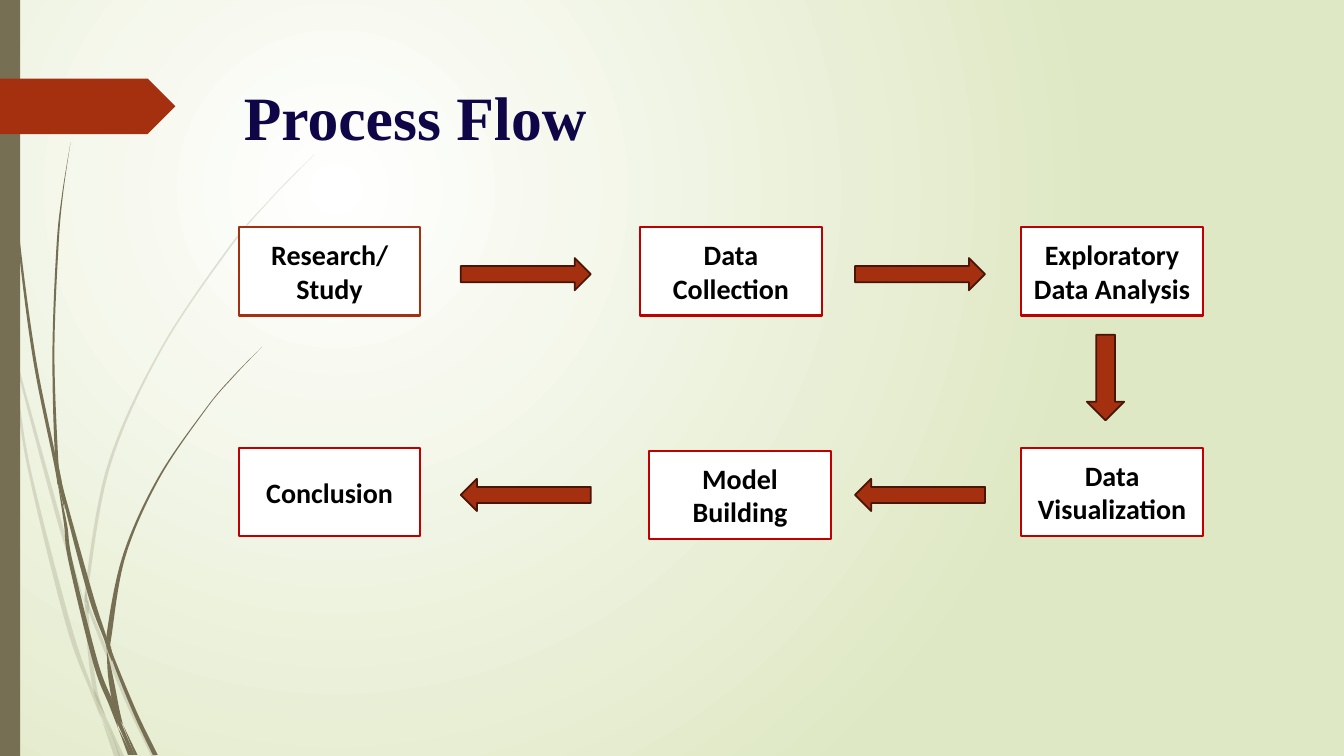
from lxml.etree import SubElement
from pptx import Presentation
from pptx.dml.color import RGBColor
from pptx.enum.shapes import MSO_SHAPE
from pptx.enum.text import MSO_ANCHOR, PP_ALIGN
from pptx.oxml.ns import qn
from pptx.util import Inches, Pt

WHITE = RGBColor(0xFF, 0xFF, 0xFF)
BLACK = RGBColor(0x00, 0x00, 0x00)
PALE_GREEN = RGBColor(0xDF, 0xE8, 0xC4)
OLIVE = RGBColor(0x76, 0x6F, 0x54)
RUST = RGBColor(0xA5, 0x30, 0x10)
DARK_RUST = RGBColor(0x48, 0x15, 0x07)
RED = RGBColor(0xC0, 0x00, 0x00)
NAVY = RGBColor(0x0E, 0x06, 0x46)

SLIDE_WIDTH, SLIDE_HEIGHT = 13.33, 7.5
COLUMNS = (2.37, 6.35, 10.13)
ROWS = (2.25, 4.44)
BOX_WIDTH, BOX_HEIGHT = 1.8, 0.88
ARROW_COLUMNS = (4.57, 8.48)
ARROW_LENGTH, ARROW_THICKNESS = 1.29, 0.32
ARROW_DROP = 0.31

STEPS = (
    ("Research/\nStudy", 0, 0, 0, 0, RUST),
    ("Model Building", 1, 1, 0.09, 0.03, RED),
    ("Conclusion", 0, 1, 0, 0, RED),
    ("Data Visualization", 2, 1, 0, 0, RED),
    ("Exploratory Data Analysis", 2, 0, 0, 0, RED),
    ("Data Collection", 1, 0, 0, 0, RED),
)

LIGHT_BLADES = (
    ((0.01, 2.82, 0.02), (0.09, 3.33, 0.02), (0.11, 3.5, 0)),
    ((0.14, 3.45, 0), (0.17, 3.62, 0.02), (0.6, 5.21, 0.04), (0.84, 5.99, 0)),
    ((0.88, 5.96, 0), (0.9, 6.08, 0.03), (1.25, 6.93, 0.04), (1.53, 7.51, 0.05)),
    ((1.05, 7.11, 0), (1.21, 7.51, 0.05)),
    ((0.11, 3.5, 0), (0.17, 3.9, 0.02), (0.3, 4.7, 0.03), (0.68, 6.2, 0.05),
     (0.92, 6.88, 0.03), (1.01, 7.14, 0)),
    ((0.84, 5.99, 0), (0.86, 6.08, 0.03), (0.89, 6.46, 0.04), (0.95, 6.87, 0.04),
     (1.05, 7.11, 0)),
    ((3.12, 1.53, 0), (2.9, 1.75, 0.01), (2.68, 1.98, 0.01), (2.28, 2.45, 0.02),
     (1.59, 3.48, 0.02), (1.08, 4.62, 0.03), (0.86, 5.84, 0.03), (0.88, 5.96, 0)),
    ((1.01, 7.14, 0), (1.16, 7.51, 0.05)),
    ((0.85, 5.86, 0), (0.86, 5.98, 0.04), (0.88, 6.1, 0)),
    ((0.93, 6.83, 0), (0.97, 6.95, 0.03), (1.03, 7.12, 0.04), (1.19, 7.51, 0.01)),
)
DARK_BLADES = (
    ((0.04, 0, 0.01), (0.05, 0.48, 0.01), (0.07, 1.1, 0.01), (0.18, 2.33, 0.02),
     (0.34, 3.55, 0.03), (0.55, 4.6, 0.03), (0.57, 4.81, 0)),
    ((0.6, 4.72, 0), (0.64, 4.95, 0.03), (0.9, 5.91, 0.05), (1.05, 6.35, 0.03),
     (1.06, 6.45, 0)),
    ((1.1, 6.41, 0), (1.12, 6.53, 0.03), (1.34, 7.07, 0.04), (1.54, 7.49, 0.05)),
    ((0.57, 4.77, 0), (0.65, 5.2, 0.03), (0.7, 5.57, 0.04), (0.95, 6.58, 0.05),
     (1.11, 7, 0.05), (1.17, 7.22, 0)),
    ((0.7, 1.41, 0), (0.62, 1.93, 0.01), (0.57, 2.45, 0.02), (0.53, 3.49, 0.02),
     (0.56, 4.51, 0.03), (0.6, 4.72, 0)),
    ((1.22, 7.19, 0), (1.35, 7.49, 0.03)),
    ((0.55, 4.49, 0), (0.59, 4.77, 0.04), (0.64, 5.05, 0)),
    ((2.6, 3.44, 0), (2.31, 3.74, 0.01), (2.04, 4.06, 0.01), (1.57, 4.75, 0.02),
     (1.23, 5.52, 0.03), (1.08, 6.32, 0.05), (1.1, 6.41, 0)),
    ((1.17, 7.22, 0), (1.29, 7.49, 0.04)),
    ((1.06, 6.45, 0), (1.1, 6.73, 0.05), (1.16, 7.04, 0.05), (1.22, 7.19, 0)),
    ((1.06, 6.31, 0), (1.08, 6.43, 0.04), (1.11, 6.56, 0)),
    ((1.1, 6.91, 0), (1.15, 7.09, 0.04), (1.32, 7.49, 0.03)),
)


def paint_background(slide):
    """Fill the background with a radial gradient."""
    fill = slide.background.fill
    fill.gradient()
    for stop, position, color in zip(fill.gradient_stops, (0, 1), (WHITE, PALE_GREEN)):
        stop.position = position
        stop.color.rgb = color
    gradient = slide.element.find(".//" + qn("a:gradFill"))
    gradient.remove(gradient.find(qn("a:lin")))
    circle = SubElement(gradient, qn("a:path"), path="circle")
    SubElement(circle, qn("a:fillToRect"), l="50000", t="50000", r="100000", b="100000")


def style_shape(shape, fill_color, line_color=None, line_width=0):
    """Give a shape a flat fill, an optional outline and no shadow."""
    shape.shadow.inherit = False
    shape.fill.solid()
    shape.fill.fore_color.rgb = fill_color
    if line_color is None:
        shape.line.fill.background()
    else:
        shape.line.color.rgb = line_color
        shape.line.width = Pt(line_width)


def add_preset(slide, preset, left, top, width, height, *style):
    """Add a styled preset shape measured in inches."""
    shape = slide.shapes.add_shape(
        preset, Inches(left), Inches(top), Inches(width), Inches(height))
    style_shape(shape, *style)
    return shape


def curve_edges(blade, knot_count):
    """Turn the straight sides of a blade into smooth Bézier curves."""
    vertices = [(int(point.get("x")), int(point.get("y")))
                for point in blade.element.iter(qn("a:pt"))]
    segments = list(blade.element.iter(qn("a:lnTo")))
    for edge_start in (0, knot_count):
        edge = vertices[edge_start:edge_start + knot_count]
        padded = [edge[0], *edge, edge[-1]]
        runs = zip(padded, padded[1:], padded[2:], padded[3:])
        for segment, (before, start, end, after) in zip(segments[edge_start:], runs):
            segment.tag = qn("a:cubicBezTo")
            controls = (
                [s + (e - b) / 6 for b, s, e in zip(before, start, end)],
                [e - (a - s) / 6 for s, e, a in zip(start, end, after)])
            for index, (x, y) in enumerate(controls):
                point = SubElement(segment, qn("a:pt"), x=str(round(x)), y=str(round(y)))
                segment.insert(index, point)


def add_blade(group, knots, opacity):
    """Draw one tapered piece of grass from knots of centre x, y and width."""
    left_edge = [(Inches(x - width / 2), Inches(y)) for x, y, width in knots]
    right_edge = [(Inches(x + width / 2), Inches(y)) for x, y, width in knots]
    builder = group.shapes.build_freeform(*left_edge[0])
    builder.add_line_segments(left_edge[1:] + right_edge[::-1], close=True)
    blade = builder.convert_to_shape()
    curve_edges(blade, len(knots))
    style_shape(blade, OLIVE)
    if opacity < 100:
        color = blade.element.find(".//" + qn("a:srgbClr"))
        SubElement(color, qn("a:alpha"), val=str(opacity * 1000))


def format_text(text_frame, alignment, font_name, size, color):
    """Centre a text frame vertically and format its runs in bold."""
    text_frame.word_wrap = True
    text_frame.vertical_anchor = MSO_ANCHOR.MIDDLE
    for paragraph in text_frame.paragraphs:
        paragraph.alignment = alignment
        for run in paragraph.runs:
            run.font.name = font_name
            run.font.size = Pt(size)
            run.font.bold = True
            run.font.color.rgb = color


def add_title(slide, text):
    """Add the slide title."""
    box = slide.shapes.add_textbox(Inches(2.32), Inches(0.71), Inches(3.67), Inches(0.87))
    box.text_frame.text = text
    format_text(box.text_frame, PP_ALIGN.LEFT, "Times New Roman", 44, NAVY)


def add_step(slide, text, column, row, shift_x, shift_y, line_color):
    """Add one process box at its grid cell."""
    box = add_preset(slide, MSO_SHAPE.RECTANGLE, COLUMNS[column] + shift_x,
                     ROWS[row] + shift_y, BOX_WIDTH, BOX_HEIGHT, WHITE, line_color, 1.5)
    box.text_frame.text = text
    format_text(box.text_frame, PP_ALIGN.CENTER, "Calibri", 20, BLACK)


def add_arrow(slide, left, top, length, thickness, rotation):
    """Add a block arrow turned to its direction."""
    arrow = add_preset(slide, MSO_SHAPE.RIGHT_ARROW, left, top, length, thickness,
                       RUST, DARK_RUST, 1.25)
    arrow.rotation = rotation


def main():
    """Build and save the process flow slide."""
    presentation = Presentation()
    presentation.slide_width = Inches(SLIDE_WIDTH)
    presentation.slide_height = Inches(SLIDE_HEIGHT)
    slide = presentation.slides.add_slide(presentation.slide_layouts[6])
    paint_background(slide)
    for blades, opacity in ((LIGHT_BLADES, 20), (DARK_BLADES, 100)):
        group = slide.shapes.add_group_shape()
        for knots in blades:
            add_blade(group, knots, opacity)
    add_preset(slide, MSO_SHAPE.RECTANGLE, 0, 0, 0.2, SLIDE_HEIGHT, OLIVE)
    add_preset(slide, MSO_SHAPE.PENTAGON, 0, 0.78, 1.74, 0.55, RUST)
    add_title(slide, "Process Flow")
    for step in STEPS:
        add_step(slide, *step)
    for row_top, rotation in zip(ROWS, (0, 180)):
        for left in ARROW_COLUMNS:
            add_arrow(slide, left, row_top + ARROW_DROP, ARROW_LENGTH,
                      ARROW_THICKNESS, rotation)
    add_arrow(slide, 10.54, 3.56, 0.85, 0.37, 90)
    presentation.save("out.pptx")


if __name__ == "__main__":
    main()
